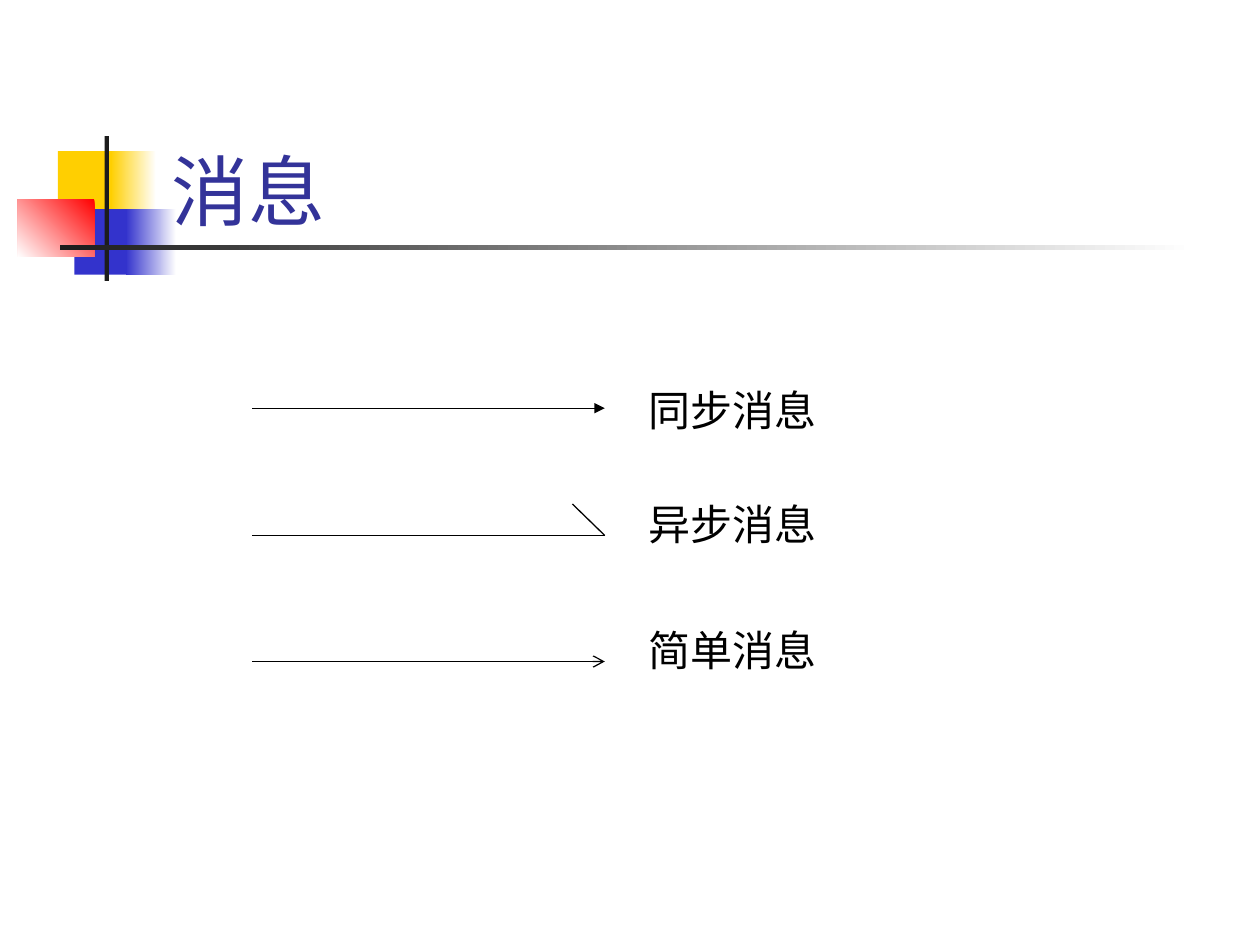
from lxml import etree
from pptx import Presentation
from pptx.dml.color import RGBColor
from pptx.enum import shapes, text
from pptx.oxml import ns
from pptx.util import Pt

TITLE = "消息"
DECORATIONS = [
    ((33.12, 86.4, 34.56, 37.44), ("FFCF01",), None),
    ((63.36, 86.4, 25.92, 37.44), ("FFFFFF", "FFCF01"), 180),
    ((42.48, 119.52, 33.12, 37.44), ("3333CC",), None),
    ((72, 119.52, 28.8, 37.44), ("FFFFFF", "3333CC"), 180),
    ((10.08, 113.76, 43.92, 33.12), ("FF0000", "FFFFFF"), 225),
    ((59.76, 77.76, 2.5, 82.8), ("1C1C1C",), None),
    ((34.56, 140.2, 648, 2.5), ("FFFFFF", "1C1C1C"), 180),
]
MESSAGES = [
    ("同步消息", 233.28, 216, "triangle"),
    ("异步消息", 306, 281.52, None),
    ("简单消息", 378, 353.52, "arrow"),
]
LINE_START, LINE_END = 144, 345.6
BARB_WIDTH, BARB_HEIGHT = 18.5, 18
LABEL_LEFT, LABEL_WIDTH, LABEL_HEIGHT = 363.6, 146.16, 54


def color(value):
    return RGBColor.from_string(value)


def add_rectangle(slide, box, colors, angle=None):
    shape = slide.shapes.add_shape(shapes.MSO_SHAPE.RECTANGLE, *map(Pt, box))
    shape.shadow.inherit = False
    shape.line.fill.background()
    if angle is None:
        shape.fill.solid()
        shape.fill.fore_color.rgb = color(colors[0])
    else:
        shape.fill.gradient()
        shape.fill.gradient_angle = angle
        for stop, value in zip(shape.fill.gradient_stops, colors):
            stop.color.rgb = color(value)
    return shape


def add_line(slide, start, end, arrowhead=None):
    line = slide.shapes.add_connector(
        shapes.MSO_CONNECTOR.STRAIGHT, *map(Pt, start + end))
    line.line.width = Pt(0.75)
    line.line.color.rgb = color("000000")
    if arrowhead:
        etree.SubElement(line.line._get_or_add_ln(), ns.qn("a:tailEnd"), type=arrowhead)
    etree.SubElement(line._element.spPr, ns.qn("a:effectLst"))


def write(shape, content, size, font, value, alignment, anchor):
    frame = shape.text_frame
    frame.word_wrap = True
    frame.auto_size = text.MSO_AUTO_SIZE.NONE
    frame.vertical_anchor = anchor
    paragraph = frame.paragraphs[0]
    paragraph.alignment = alignment
    run = paragraph.add_run()
    run.text = content
    run.font.size = Pt(size)
    run.font.name = font
    run.font.color.rgb = color(value)


def main():
    presentation = Presentation()
    presentation.slide_width, presentation.slide_height = Pt(720), Pt(540)
    slide = presentation.slides.add_slide(presentation.slide_layouts[5])

    for decoration in DECORATIONS:
        add_rectangle(slide, *decoration)

    title = slide.shapes.title
    title.left, title.top, title.width, title.height = map(Pt, (90.72, 48.24, 613.44, 90))
    write(title, TITLE, 44, "Karla", "333399",
          text.PP_ALIGN.LEFT, text.MSO_ANCHOR.BOTTOM)
    slide.shapes._spTree.append(title._element)

    for label, line_y, label_top, arrowhead in MESSAGES:
        tip = (LINE_END, line_y)
        add_line(slide, (LINE_START, line_y), tip, arrowhead)
        if arrowhead is None:
            add_line(slide, (LINE_END - BARB_WIDTH, line_y - BARB_HEIGHT), tip)
        box = (LABEL_LEFT, label_top, LABEL_WIDTH, LABEL_HEIGHT)
        write(add_rectangle(slide, box, ("FFFFFF",)), label, 24, "Times New Roman",
              "000000", text.PP_ALIGN.JUSTIFY, text.MSO_ANCHOR.TOP)

    presentation.save("out.pptx")


if __name__ == "__main__":
    main()
